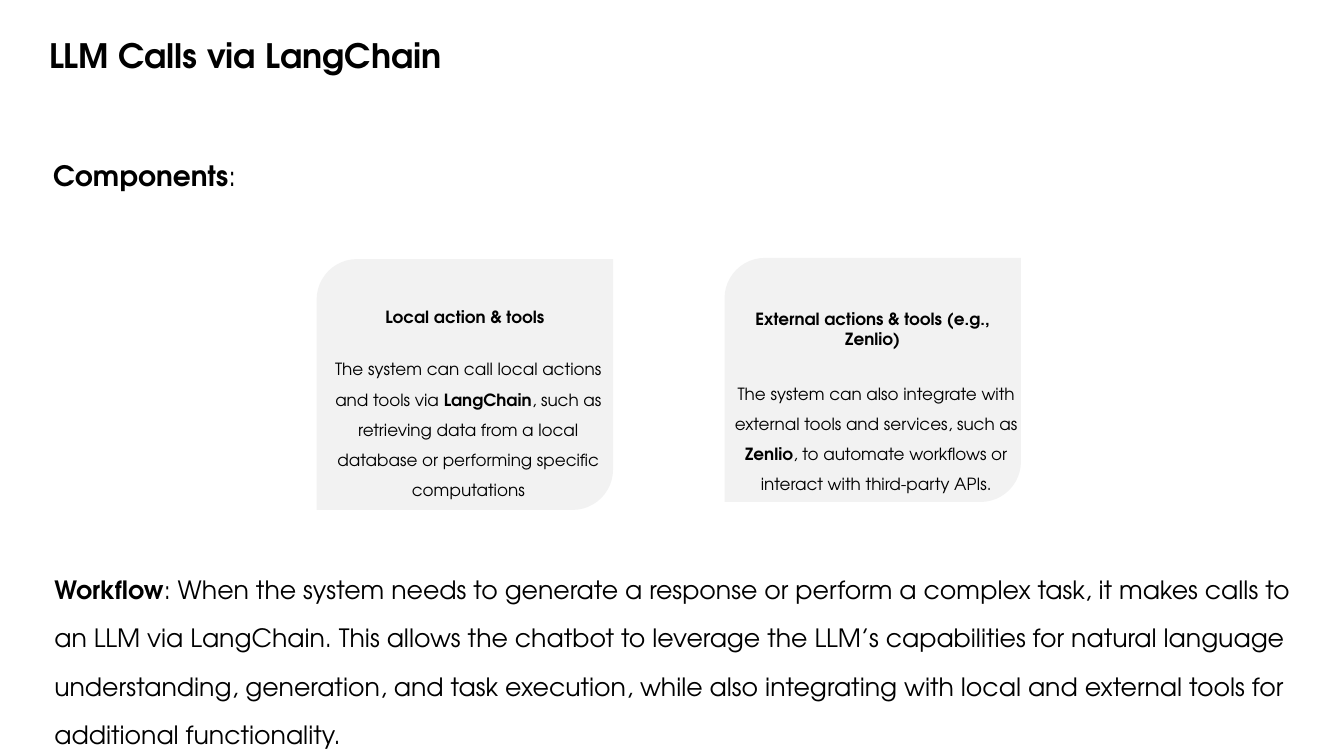
from pptx import Presentation
from pptx.dml.color import RGBColor
from pptx.enum.shapes import MSO_SHAPE
from pptx.enum.text import MSO_ANCHOR, MSO_AUTO_SIZE, PP_ALIGN
from pptx.util import Cm, Pt

FONT = "TeX Gyre Adventor"
BLACK = "000000"
CARD_FILL = "F2F2F2"

TITLE = [("LLM Calls via LangChain", True)]
COMPONENTS = [("Components", True), (":", False)]
WORKFLOW = [
    ("Workflow", True),
    (": When the system needs to generate a response or perform a complex task, "
     "it makes calls to an LLM via LangChain. This allows the chatbot to leverage "
     "the LLM’s capabilities for natural language understanding, generation, and "
     "task execution, while also integrating with local and external tools for "
     "additional functionality.", False),
]
CARDS = [
    {
        "box": (7.98, 6.53, 6.32),
        "heading": [("Local action & tools", True)],
        "heading_box": (7.72, 5.03, 0.51),
        "body": [
            ("The system can call local actions and tools via ", False),
            ("LangChain", True),
            (", such as retrieving data from a local database or performing "
             "specific computations", False),
        ],
        "body_height": 3.76,
    },
    {
        "box": (18.26, 6.5, 6.15),
        "heading": [("External actions & tools (e.g., Zenlio)", True)],
        "heading_box": (7.77, 6.02, 0.99),
        "body": [
            ("The system can also integrate with external tools and services, "
             "such as ", False),
            ("Zenlio", True),
            (", to automate workflows or interact with third-party APIs.", False),
        ],
        "body_height": 2.9,
    },
]
CARD_WIDTH = 7.47
CARD_RADIUS = 1.02
BODY_WIDTH = 7.37
BODY_INDENT = 0.14
BODY_BOTTOM_GAP = 0.27


def color(hex_code):
    return RGBColor.from_string(hex_code)


def add_text(slide, runs, left, top, width, height, size=12, spacing=1.0,
             align=PP_ALIGN.LEFT, anchor=MSO_ANCHOR.TOP, inset=True, grow=True):
    box = slide.shapes.add_textbox(Cm(left), Cm(top), Cm(width), Cm(height))
    frame = box.text_frame
    frame.word_wrap = True
    frame.auto_size = MSO_AUTO_SIZE.SHAPE_TO_FIT_TEXT if grow else MSO_AUTO_SIZE.NONE
    frame.vertical_anchor = anchor
    if not inset:
        frame.margin_left = frame.margin_right = Cm(0)
        frame.margin_top = frame.margin_bottom = Cm(0)
    paragraph = frame.paragraphs[0]
    paragraph.alignment = align
    paragraph.line_spacing = spacing
    for text, bold in runs:
        run = paragraph.add_run()
        run.text = text
        run.font.name = FONT
        run.font.size = Pt(size)
        run.font.bold = bold
        run.font.color.rgb = color(BLACK)


def add_card(slide, card):
    left, top, height = card["box"]
    shape = slide.shapes.add_shape(MSO_SHAPE.ROUND_2_DIAG_RECTANGLE, Cm(left),
                                   Cm(top), Cm(CARD_WIDTH), Cm(height))
    shape.adjustments[0] = CARD_RADIUS / height
    shape.shadow.inherit = False
    shape.fill.solid()
    shape.fill.fore_color.rgb = color(CARD_FILL)
    shape.line.fill.background()

    body_height = card["body_height"]
    body_top = top + height - BODY_BOTTOM_GAP - body_height
    add_text(slide, card["body"], left + BODY_INDENT, body_top, BODY_WIDTH,
             body_height, spacing=1.5, align=PP_ALIGN.CENTER,
             anchor=MSO_ANCHOR.MIDDLE, inset=False)

    heading_top, heading_width, heading_height = card["heading_box"]
    heading_left = left + (CARD_WIDTH - heading_width) / 2
    add_text(slide, card["heading"], heading_left, heading_top, heading_width,
             heading_height, align=PP_ALIGN.CENTER, inset=False)


def main():
    presentation = Presentation()
    presentation.slide_width = Cm(33.87)
    presentation.slide_height = Cm(19.05)
    slide = presentation.slides.add_slide(presentation.slide_layouts[6])

    add_text(slide, TITLE, 0.99, 0.64, 29.21, 1.6, size=24, spacing=0.9,
             anchor=MSO_ANCHOR.MIDDLE, grow=False)
    add_text(slide, COMPONENTS, 1.09, 3.45, 16.94, 1.37, size=20, spacing=1.5)
    for card in CARDS:
        add_card(slide, card)
    add_text(slide, WORKFLOW, 1.12, 13.89, 31.83, 6.25, size=18, spacing=1.6)

    presentation.save("out.pptx")


if __name__ == "__main__":
    main()
